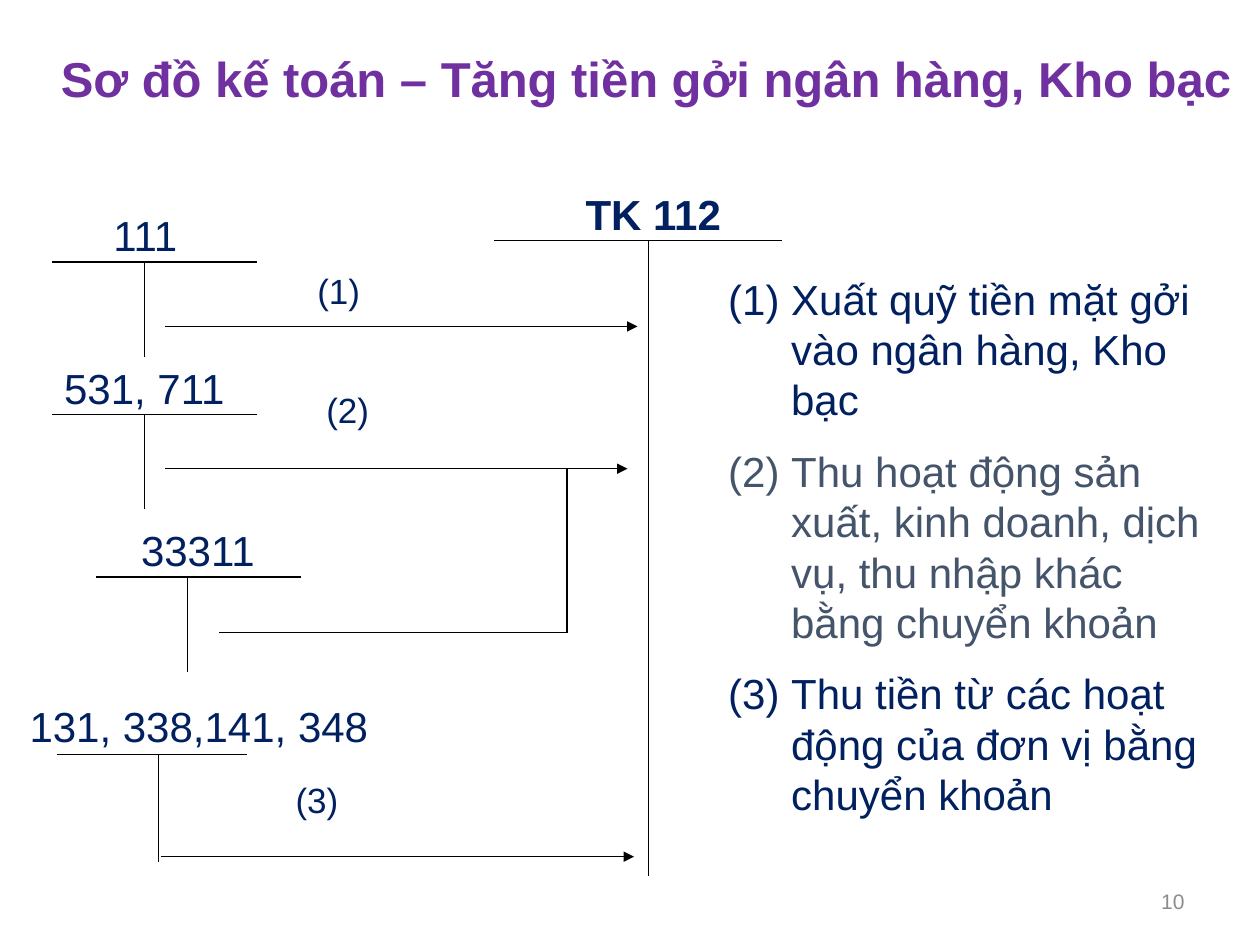
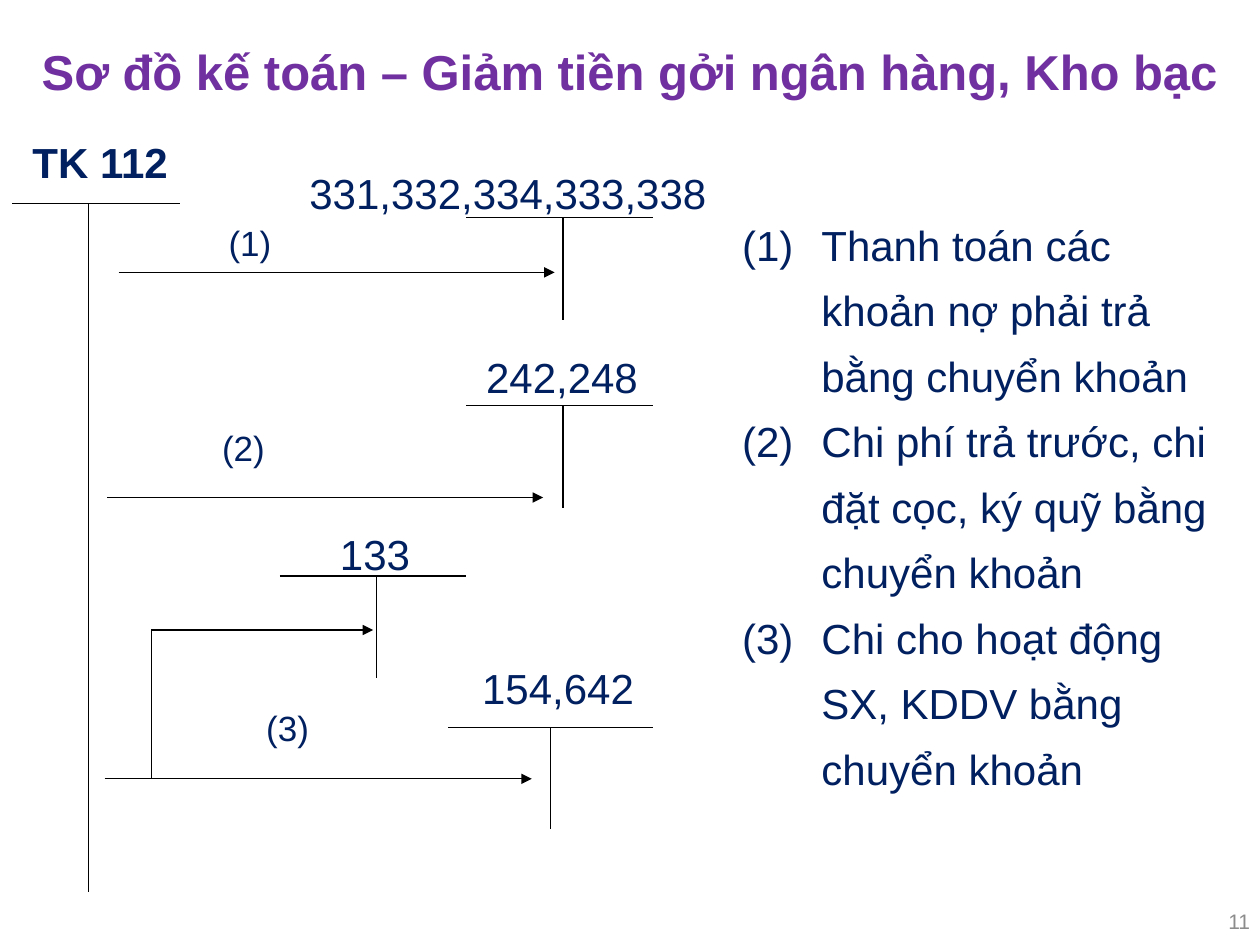
import lxml.etree
import pptx
import pptx.util
import pptx.dml.color
import pptx.enum.shapes
import pptx.enum.text
import pptx.oxml.ns

Cm, Pt = pptx.util.Cm, pptx.util.Pt
ALIGN, ANCHOR = pptx.enum.text.PP_ALIGN, pptx.enum.text.MSO_ANCHOR
FONT, NAVY, SLATE, PURPLE, GREY, BLACK = "Arial", "002060", "44546A", "7030A0", "8C8C8C", "000000"
LABEL_H, STEP_W, STEP_H = 1.27, 8.6, 1.12

# All places are in centimetres.
# accounts: label, label centre, label top, label width, bar left, bar right, bar y, stem x, stem bottom
# arrows and links: x1, y1, x2, y2; steps: text, centre, top
SLIDES = [
    {
        "title": ("Sơ đồ kế toán – Tăng tiền gởi ngân hàng, Kho bạc", (0.64, 0.38, 24.77, 1.93)),
        "page": ("10", (18.21, 17.65, 5.92, 1.02)),
        "accounts": [
            ("TK 112", 13.17, 3.68, 3.28, 9.96, 15.77, 4.85, 13.08, 17.65),
            ("111", 2.93, 4.09, 1.8, 1.04, 5.18, 5.28, 2.92, 7.19),
            ("531, 711", 2.91, 7.19, 3.78, 1.04, 5.18, 8.36, 2.92, 10.26),
            ("33311", 3.99, 10.44, 2.84, 1.93, 6.07, 11.63, 3.78, 13.54),
            ("131, 338,141, 348", 4.01, 14, 7.42, 1.14, 4.98, 15.21, 3.2, 17.37),
        ],
        "arrows": [(3.33, 6.58, 12.85, 6.58), (3.33, 9.45, 12.65, 9.45), (3.25, 17.27, 12.78, 17.27)],
        "links": [(4.42, 12.75, 11.46, 12.75), (11.43, 9.45, 11.43, 12.75)],
        "steps": [("(1)", 6.83, 5.31), ("(2)", 7.01, 7.7), ("(3)", 6.39, 15.57)],
        "notes": [
            ("Xuất quỹ tiền mặt gởi vào ngân hàng, Kho bạc", NAVY),
            ("Thu hoạt động sản xuất, kinh doanh, dịch vụ, thu nhập khác bằng chuyển khoản", SLATE),
            ("Thu tiền từ các hoạt động của đơn vị bằng chuyển khoản", NAVY),
        ],
        "notes_box": (14.43, 5.38, 10.34, 11.38),
        "notes_indent": 1.27,
        "notes_spacing": {"space_before": Pt(6), "space_after": Pt(6)},
    },
    {
        "title": ("Sơ đồ kế toán – Giảm tiền gởi ngân hàng, Kho bạc", (0.48, 0, 24.43, 2.16)),
        "page": ("11", (19.53, 18.06, 5.92, 1.02)),
        "accounts": [
            ("TK 112", 2.02, 2.62, 3.28, 0.25, 3.63, 4.1, 1.78, 17.98),
            ("331,332,334,333,338", 10.24, 3.25, 9.55, 9.4, 13.16, 4.39, 11.35, 6.45),
            ("242,248", 11.33, 6.96, 3.6, 9.4, 13.16, 8.18, 11.35, 10.24),
            ("133", 7.56, 10.52, 1.96, 5.64, 9.4, 11.61, 7.59, 13.67),
            ("154,642", 11.25, 13.23, 3.6, 9.04, 13.16, 14.66, 11.1, 16.71),
        ],
        "arrows": [(2.39, 5.49, 11.18, 5.49), (2.16, 10.03, 10.95, 10.03),
                   (3.05, 12.7, 7.52, 12.7), (2.11, 15.7, 10.72, 15.7)],
        "links": [(3.05, 12.7, 3.05, 15.7)],
        "steps": [("(1)", 5.04, 4.34), ("(2)", 4.91, 8.48), ("(3)", 5.8, 14.12)],
        "notes": [
            ("Thanh toán các khoản nợ phải trả bằng chuyển khoản", NAVY),
            ("Chi phí trả trước, chi đặt cọc, ký quỹ bằng chuyển khoản", NAVY),
            ("Chi cho hoạt động SX, KDDV bằng chuyển khoản", NAVY),
        ],
        "notes_box": (14.71, 3.99, 10.08, 12.12),
        "notes_indent": 1.6,
        "notes_spacing": {"line_spacing": 1.3},
    },
]

STYLES = {
    "title": {"size": 28, "color": PURPLE, "bold": True, "anchor": ANCHOR.BOTTOM,
              "para": {"line_spacing": 0.9}},
    "page": {"size": 12, "color": GREY, "align": ALIGN.RIGHT, "anchor": ANCHOR.MIDDLE},
    "account": {"size": 24, "wrap": False},
    "main_account": {"size": 24, "wrap": False, "bold": True},
    "step": {"size": 20},
}


def rgb(color):
    return pptx.dml.color.RGBColor.from_string(color)


def set_attrs(obj, values):
    for name, value in values.items():
        setattr(obj, name, value)


def add_sub(parent, tag, **attrs):
    return lxml.etree.SubElement(parent, pptx.oxml.ns.qn(tag), attrs)


def add_box(s, box, wrap=True, anchor=ANCHOR.TOP):
    tf = s.shapes.add_textbox(*map(Cm, box)).text_frame
    set_attrs(tf, {"word_wrap": wrap, "vertical_anchor": anchor})
    return tf


def add_run(p, text, size, color, bold=False):
    r = p.add_run()
    r.text = text
    set_attrs(r.font, {"name": FONT, "size": Pt(size), "bold": bold})
    r.font.color.rgb = rgb(color)


def add_text(s, text, box, size, color=NAVY, bold=False, align=ALIGN.CENTER,
             anchor=ANCHOR.TOP, wrap=True, para=None):
    p = add_box(s, box, wrap, anchor).paragraphs[0]
    set_attrs(p, {"alignment": align, **(para or {})})
    add_run(p, text, size, color, bold)


def add_line(s, ends, arrow=False):
    c = s.shapes.add_connector(pptx.enum.shapes.MSO_CONNECTOR.STRAIGHT, *map(Cm, ends))
    c.line.width = Pt(0.75)
    c.line.color.rgb = rgb(BLACK)
    if arrow:
        add_sub(c.line._get_or_add_ln(), "a:tailEnd", type="triangle")
    add_sub(c._element.spPr, "a:effectLst")


def add_account(s, label, centre, top, width, left, right, y, stem, bottom):
    """Draw a T account: a label over a bar with a stem."""
    style = STYLES["main_account" if label.startswith("TK") else "account"]
    add_line(s, (left, y, right, y))
    add_line(s, (stem, y, stem, bottom))
    add_text(s, label, (centre - width / 2, top, width, LABEL_H), **style)


def add_notes(s, notes, box, indent, spacing):
    tf = add_box(s, box)
    for i, (text, color) in enumerate(notes):
        p = tf.add_paragraph() if i else tf.paragraphs[0]
        set_attrs(p, spacing)
        if not i:
            p.space_before = Pt(0)
        pPr = p._p.get_or_add_pPr()
        pPr.set("marL", str(Cm(indent)))
        pPr.set("indent", str(-Cm(indent)))
        add_sub(pPr, "a:buFont", typeface=FONT)
        add_sub(pPr, "a:buAutoNum", type="arabicParenBoth")
        add_run(p, text, 24, color)


def build_slide(prs, data):
    s = prs.slides.add_slide(prs.slide_layouts[6])
    for part in ("title", "page"):
        add_text(s, *data[part], **STYLES[part])
    for account in data["accounts"]:
        add_account(s, *account)
    for ends in data["arrows"]:
        add_line(s, ends, arrow=True)
    for ends in data["links"]:
        add_line(s, ends)
    for text, centre, top in data["steps"]:
        add_text(s, text, (centre - STEP_W / 2, top, STEP_W, STEP_H), **STYLES["step"])
    add_notes(s, data["notes"], data["notes_box"], data["notes_indent"], data["notes_spacing"])


def main():
    prs = pptx.Presentation()
    set_attrs(prs, {"slide_width": Cm(25.4), "slide_height": Cm(19.05)})
    for data in SLIDES:
        build_slide(prs, data)
    prs.save("out.pptx")


if __name__ == "__main__":
    main()
